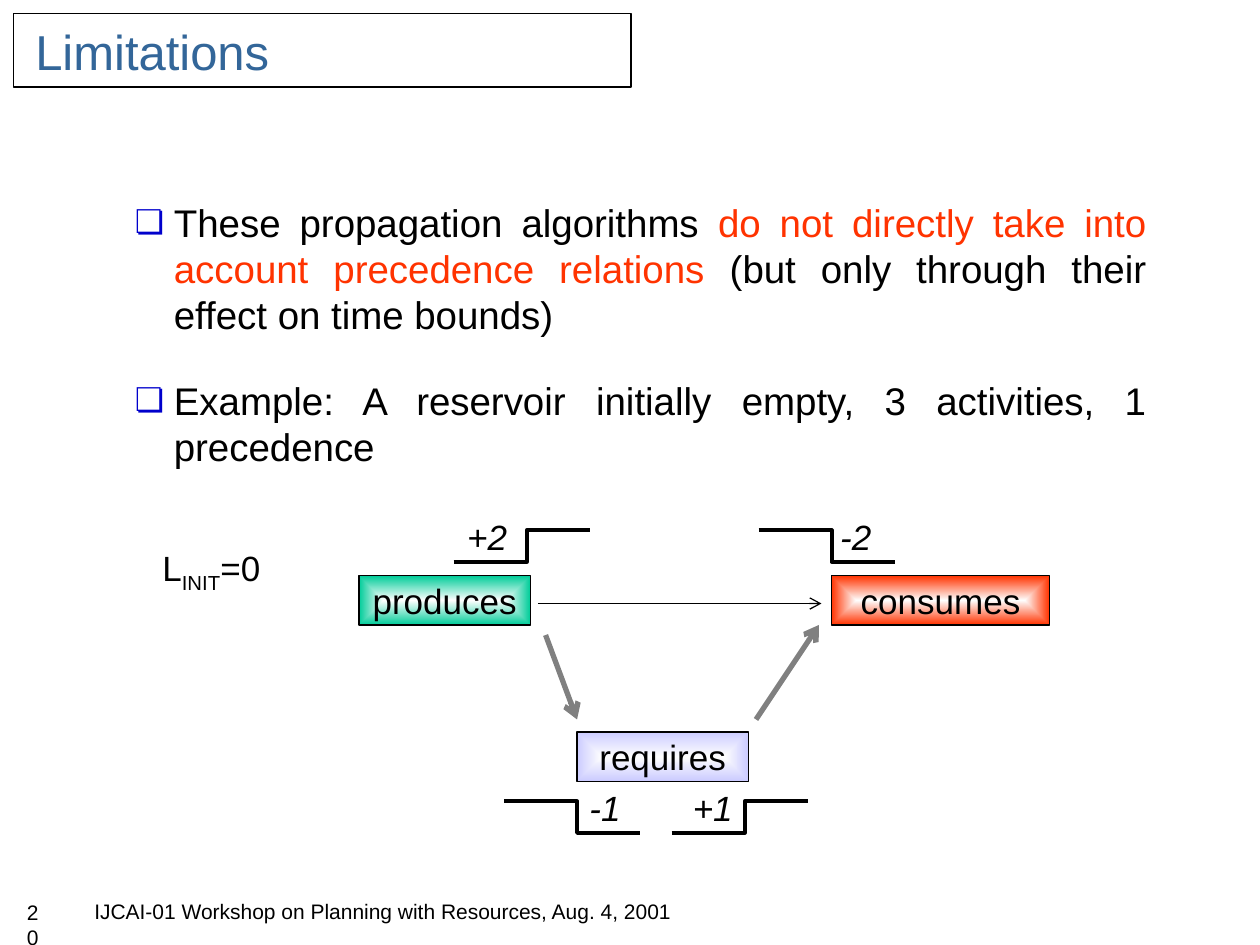
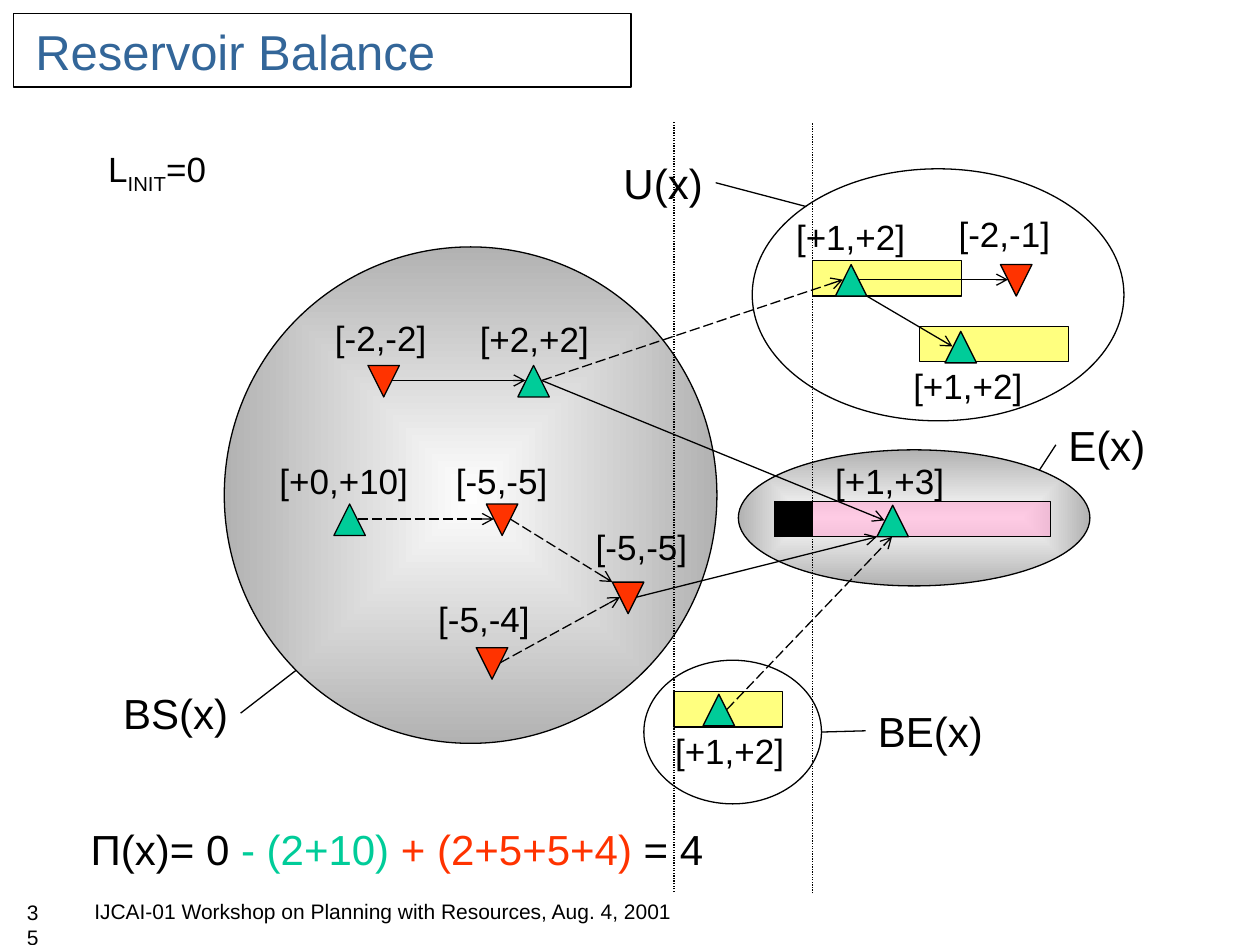
from lxml import etree
from pptx import Presentation
from pptx.dml.color import RGBColor
from pptx.enum.dml import MSO_LINE
from pptx.enum.shapes import MSO_CONNECTOR, MSO_SHAPE
from pptx.enum.text import MSO_ANCHOR, MSO_AUTO_SIZE, PP_ALIGN
from pptx.oxml import parse_xml
from pptx.oxml.ns import nsdecls, qn
from pptx.util import Pt

PX = 9144  # EMU: 100 px to the inch
FONT = "Arial"

BLACK = RGBColor(0x00, 0x00, 0x00)
TITLE_BLUE = RGBColor(0x33, 0x66, 0x99)
BULLET_BLUE = RGBColor(0x00, 0x00, 0xCC)
RED = RGBColor(0xFF, 0x33, 0x00)
GREEN = RGBColor(0x00, 0xCC, 0x99)
LAVENDER = RGBColor(0xCC, 0xCC, 0xFF)
GLOW = RGBColor(0xFE, 0xFE, 0xFE)
SILVER = RGBColor(0xB2, 0xB2, 0xB2)
GRAY = RGBColor(0x80, 0x80, 0x80)
YELLOW = RGBColor(0xFF, 0xFF, 0x00)
PINK = RGBColor(0xFF, 0x99, 0xCC)

FOOTER = "IJCAI-01 Workshop on Planning with Resources, Aug. 4, 2001"
INITIAL_LEVEL = [("L", {}), ("INIT", {"baseline": -25}), ("=0", {})]

# Limitations
POINTS = [
    [("These propagation algorithms ", {}),
     ("do not directly take into account precedence relations", {"color": RED}),
     (" (but only through their effect on time bounds)", {})],
    [("Example: A reservoir initially empty, 3 activities, 1 precedence", {})],
]
ACTIVITIES = [  # name, left, top, width, colour
    ("requires", 458, 581, 136, LAVENDER),
    ("produces", 285, 457, 136, GREEN),
    ("consumes", 660, 457, 173, RED),
]
STEPS = [  # left, top, change, label left
    (400, 636, "-1", 458),
    (533, 636, "+1", 540),
    (360, 421, "+2", 361),
    (602, 421, "-2", 657),
]
PRECEDENCE = ((427, 479), (652, 479))
IMPLIED = [((433, 504), (458, 571)), ((600, 571), (650, 496))]

# Reservoir Balance
SETS = [  # ellipse box, shaded, label, label box, label side, leader end
    ((586, 357, 279, 108), True, "E(x)", (838, 328, 81, 50), 1, (825, 373)),
    ((178, 196, 391, 394), True, "BS(x)", (88, 541, 103, 50), 3, (235, 532)),
    ((511, 524, 141, 114), False, "BE(x)", (687, 555, 103, 50), 1, (652, 581)),
    ((597, 134, 295, 200), False, "U(x)", (485, 120, 83, 50), 3, (640, 164)),
]
BANDS = [  # left, top, width, colour
    (615, 398, 219, PINK),
    (645, 207, 118, YELLOW),
    (730, 259, 118, YELLOW),
    (535, 549, 86, YELLOW),
]
BAND_HEIGHT = 28
EVENTS = {  # name: left, top, range, range left, range top
    "take 2": (292, 290, "[-2,-2]", 256, 246),
    "add 2": (411, 290, "[+2,+2]", 371, 247),
    "add 10": (265, 400, "[+0,+10]", 212, 360),
    "take 5 first": (386, 400, "[-5,-5]", 352, 360),
    "take 5 last": (486, 462, "[-5,-5]", 463, 412),
    "take 4": (378, 514, "[-5,-4]", 338, 469),
    "x": (696, 401, "[+1,+3]", 653, 360),
    "upper add": (663, 210, "[+1,+2]", 622, 166),
    "upper take": (794, 210, "[-2,-1]", 751, 164),
    "inner add": (750, 263, "[+1,+2]", 715, 284),
    "ending add": (558, 551, "[+1,+2]", 526, 574),
}
EVENT_SIZE = 25
ANCHORS = {
    "left": (6, 12), "right": (19, 12), "bottom": (12, 25),
    "top left": (0, 0), "bottom left": (0, 25), "bottom right": (25, 25),
}
LINKS = [  # from, its anchor, to, its anchor, dashed
    ("take 2", "right", "add 2", "left", False),
    ("add 10", "right", "take 5 first", "left", True),
    ("take 5 first", "right", "take 5 last", "top left", True),
    ("take 4", "right", "take 5 last", "left", True),
    ("upper add", "right", "upper take", "left", False),
    ("add 2", "right", "x", "left", False),
    ("take 5 last", "right", "x", "bottom left", False),
    ("ending add", "right", "x", "bottom", True),
    ("add 2", "right", "upper add", "left", True),
    ("upper add", "bottom right", "inner add", "left", False),
]
DIVIDERS = [(535, 97), (645, 98)]
DIVIDER_LENGTH = 611
BALANCE = [("Π(x)= 0 ", {}), ("- (2+10) ", {"color": GREEN}),
           ("+ (2+5+5+4)", {"color": RED}), (" = 4", {})]


def scaled(*lengths):
    return [length * PX for length in lengths]


def write(paragraph, text, size=20, color=BLACK, italic=False, align=PP_ALIGN.LEFT):
    """Fill a paragraph from a string or from (text, format) runs."""
    paragraph.alignment = align
    for words, changes in [(text, {})] if isinstance(text, str) else text:
        run = paragraph.add_run()
        run.text = words
        run.font.name = FONT
        run.font.size = Pt(size)
        run.font.italic = italic
        run.font.color.rgb = changes.get("color", color)
        if "baseline" in changes:
            run.font._element.set("baseline", str(changes["baseline"] * 1000))


def add_text(slide, box, text, wrap=False, **style):
    shape = slide.shapes.add_textbox(*scaled(*box))
    frame = shape.text_frame
    frame.word_wrap = wrap
    frame.auto_size = MSO_AUTO_SIZE.NONE if wrap else MSO_AUTO_SIZE.SHAPE_TO_FIT_TEXT
    write(frame.paragraphs[0], text, **style)
    return shape


def outline(shape, width=0.75):
    shape.shadow.inherit = False
    shape.line.color.rgb = BLACK
    shape.line.width = Pt(width)


def add_figure(slide, kind, box, fill=None, alpha=None, glow=False):
    """Add a black-lined preset shape; glow shades it from a white centre."""
    shape = slide.shapes.add_shape(kind, *scaled(*box))
    outline(shape)
    if glow:
        gradient = parse_xml(
            f'<a:gradFill {nsdecls("a")} rotWithShape="1"><a:gsLst>'
            f'<a:gs pos="0"><a:srgbClr val="{GLOW}"/></a:gs>'
            f'<a:gs pos="100000"><a:srgbClr val="{fill}"/></a:gs></a:gsLst>'
            '<a:path path="rect"><a:fillToRect l="50000" t="50000" r="50000" b="50000"/>'
            '</a:path></a:gradFill>')
        shape.element.spPr.find(qn("a:prstGeom")).addnext(gradient)
    elif fill is None:
        shape.fill.background()
    else:
        shape.fill.solid()
        shape.fill.fore_color.rgb = fill
        if alpha:
            color = shape.element.spPr.find(qn("a:solidFill"))[0]
            etree.SubElement(color, qn("a:alpha")).set("val", str(alpha * 1000))
    return shape


def add_line(slide, start, end, color=BLACK, width=0.75, arrow=False, dash=None):
    line = slide.shapes.add_connector(MSO_CONNECTOR.STRAIGHT, *scaled(*start, *end))
    line.line.color.rgb = color
    line.line.width = Pt(width)
    if dash:
        line.line.dash_style = dash
    properties = line.element.spPr
    if arrow:
        tail = etree.SubElement(properties.find(qn("a:ln")), qn("a:tailEnd"))
        tail.set("type", "arrow")
    etree.SubElement(properties, qn("a:effectLst"))
    return line


def add_step(slide, left, top, rising):
    low, high = top + 25, top
    first, last = (low, high) if rising else (high, low)
    builder = slide.shapes.build_freeform(left, first, scale=PX)
    builder.add_line_segments(
        [(left + 58, first), (left + 58, last), (left + 108, last)], close=False)
    step = builder.convert_to_shape()
    step.fill.background()
    outline(step, 2.25)


def place(placeholder, *box):
    placeholder.left, placeholder.top, placeholder.width, placeholder.height = scaled(*box)
    frame = placeholder.text_frame
    frame.word_wrap = True
    frame.auto_size = MSO_AUTO_SIZE.NONE
    frame.vertical_anchor = MSO_ANCHOR.TOP
    return frame


def add_slide(presentation, layout, title, number):
    slide = presentation.slides.add_slide(presentation.slide_layouts[layout])
    frame = place(slide.shapes.title, 18, 12, 480, 57)
    write(frame.paragraphs[0], title, size=28, color=TITLE_BLUE)
    add_figure(slide, MSO_SHAPE.RECTANGLE, (11, 11, 490, 58))
    add_text(slide, (11, 709, 30, 33), number, wrap=True, size=12, align=PP_ALIGN.CENTER)
    return slide


def add_master_footer(presentation, slide):
    """Build the footer on a slide, then move it to the master."""
    footer = add_text(slide, (65, 708, 484, 30), FOOTER, size=12).element
    footer.nvSpPr.cNvPr.set("id", "50")
    presentation.slide_master.shapes.element.append(footer)


def add_bullet(paragraph):
    properties = paragraph._p.get_or_add_pPr()
    properties.set("marL", str(31 * PX))
    properties.set("indent", str(-31 * PX))
    color = etree.SubElement(properties, qn("a:buClr"))
    etree.SubElement(color, qn("a:srgbClr")).set("val", str(BULLET_BLUE))
    etree.SubElement(properties, qn("a:buSzPct")).set("val", "85000")
    etree.SubElement(properties, qn("a:buChar")).set("char", "❏")


def draw_limitations(slide):
    frame = place(slide.placeholders[1], 97, 153, 823, 224)
    for index, point in enumerate(POINTS):
        paragraph = frame.add_paragraph() if index else frame.paragraphs[0]
        add_bullet(paragraph)
        paragraph.space_before = Pt(0)
        paragraph.space_after = Pt(22.5)
        write(paragraph, point, size=22, align=PP_ALIGN.JUSTIFY)
    for name, left, top, width, color in ACTIVITIES:
        box = add_figure(slide, MSO_SHAPE.RECTANGLE, (left, top, width, 39), color, glow=True)
        box.text_frame.word_wrap = False
        box.text_frame.vertical_anchor = MSO_ANCHOR.MIDDLE
        write(box.text_frame.paragraphs[0], name, align=PP_ALIGN.CENTER)
    for left, top, change, label_left in STEPS:
        rising = change.startswith("+")
        add_step(slide, left, top, rising)
        add_text(slide, (label_left, top - 17, 55 if rising else 49, 44), change, italic=True)
    add_text(slide, (119, 429, 98, 48), INITIAL_LEVEL)
    add_line(slide, *PRECEDENCE, arrow=True)
    for start, end in IMPLIED:
        add_line(slide, start, end, color=GRAY, width=3, arrow=True)


def event_point(name, anchor):
    return [a + b for a, b in zip(EVENTS[name], ANCHORS[anchor])]


def draw_balance(slide):
    for box, shaded, *_ in SETS:
        add_figure(slide, MSO_SHAPE.OVAL, box, SILVER if shaded else None, glow=shaded)
    for _, _, name, box, side, end in SETS:
        label = add_text(slide, box, name, size=24)
        leader = add_line(slide, box[:2], end)
        leader.begin_connect(label, side)
    for left, top, width, color in BANDS:
        add_figure(slide, MSO_SHAPE.RECTANGLE, (left, top, width, BAND_HEIGHT), color, alpha=50)
    for left, top, span, span_left, span_top in EVENTS.values():
        adds = "+" in span
        triangle = add_figure(slide, MSO_SHAPE.ISOSCELES_TRIANGLE,
                              (left, top, EVENT_SIZE, EVENT_SIZE), GREEN if adds else RED)
        triangle.rotation = 0 if adds else 180
        span_width = 96 + 7 * span.count("+") + 16 * (len(span) - 7)
        add_text(slide, (span_left, span_top, span_width, 44), span)
    for source, leaving, target, entering, dashed in LINKS:
        add_line(slide, event_point(source, leaving), event_point(target, entering),
                 arrow=True, dash=MSO_LINE.LONG_DASH if dashed else None)
    add_text(slide, (76, 112, 98, 48), INITIAL_LEVEL)
    add_text(slide, (62, 649, 508, 50), BALANCE, size=24)
    for x, top in DIVIDERS:
        add_line(slide, (x, top + DIVIDER_LENGTH), (x, top), dash=MSO_LINE.ROUND_DOT)
    add_figure(slide, MSO_SHAPE.RECTANGLE, (615, 398, 30, BAND_HEIGHT), BLACK)


def main():
    presentation = Presentation()
    presentation.slide_width, presentation.slide_height = scaled(1000, 750)
    limitations = add_slide(presentation, 1, "Limitations", "20")
    add_master_footer(presentation, limitations)
    draw_limitations(limitations)
    draw_balance(add_slide(presentation, 5, "Reservoir Balance", "35"))
    presentation.save("out.pptx")


if __name__ == "__main__":
    main()
